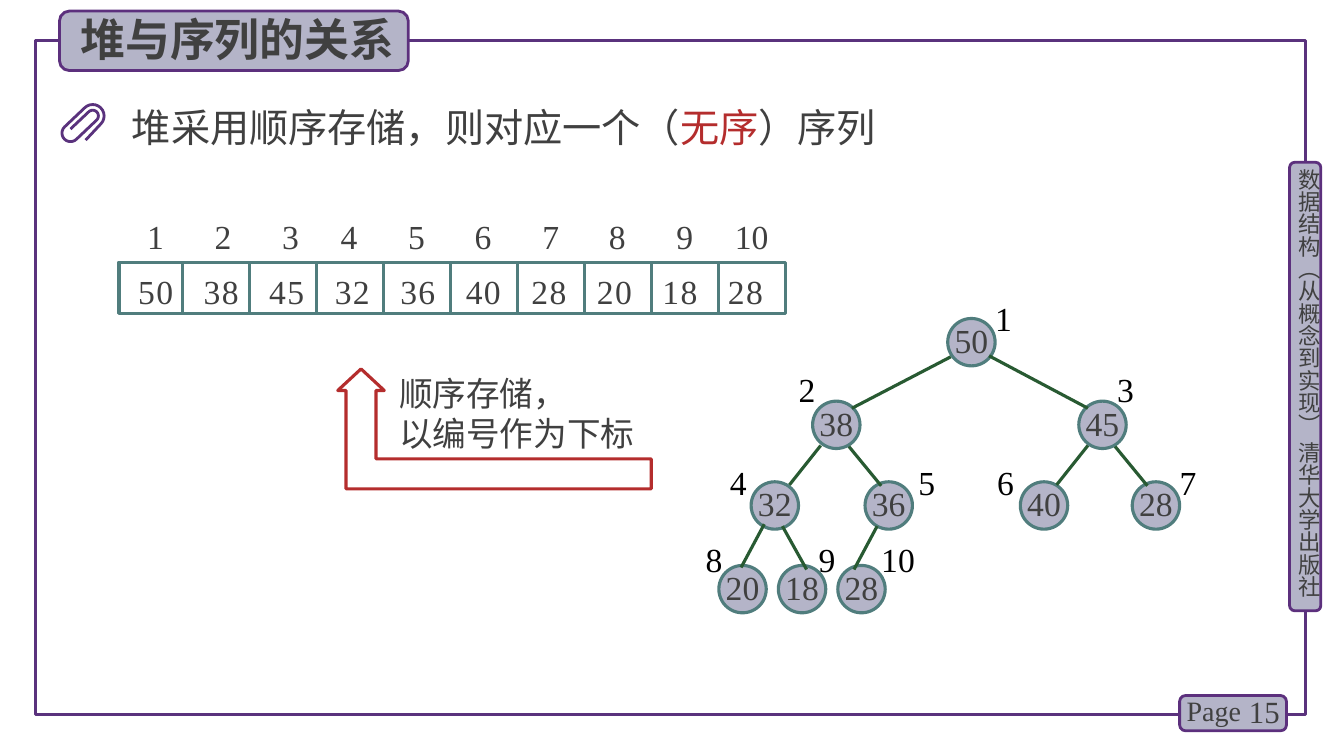
"""Build a slide on how a heap maps to its sequential storage."""
import math
from dataclasses import dataclass

from lxml import etree
from pptx import Presentation
from pptx.dml.color import RGBColor
from pptx.enum.shapes import MSO_CONNECTOR, MSO_SHAPE
from pptx.enum.text import MSO_ANCHOR, PP_ALIGN
from pptx.oxml.ns import qn
from pptx.util import Inches, Pt

RECT, ROUNDED = MSO_SHAPE.RECTANGLE, MSO_SHAPE.ROUNDED_RECTANGLE
OVAL, BENT_ARROW = MSO_SHAPE.OVAL, MSO_SHAPE.BENT_UP_ARROW
STRAIGHT = MSO_CONNECTOR.STRAIGHT
TOP, MIDDLE = MSO_ANCHOR.TOP, MSO_ANCHOR.MIDDLE
LEFT, CENTER, RIGHT = PP_ALIGN.LEFT, PP_ALIGN.CENTER, PP_ALIGN.RIGHT


@dataclass(frozen=True)
class Theme:
    latin: str = "Times New Roman"
    chinese: str = "Noto Sans CJK SC"
    ink: str = "404040"
    black: str = "000000"
    red: str = "B42D2D"
    purple: str = "5A327D"
    badge_line: str = "5C307D"
    lilac: str = "B4B4C8"
    teal: str = "507D7D"
    green: str = "285A32"
    title: int = 32
    lead: int = 28
    body: int = 24
    number: int = 22
    page: int = 20
    side: int = 16
    stroke: float = 2.25
    badge_stroke: float = 2


THEME = Theme()
TITLE = "堆与序列的关系"
SIDE = "数据结构（从概念到实现） 清华大学出版社"
LEAD = [("堆采用顺序存储，则对应一个（", THEME.ink), ("无序", THEME.red), ("）序列", THEME.ink)]
NOTE = ["顺序存储，", "以编号作为下标"]
HEAP = [50, 38, 45, 32, 36, 40, 28, 20, 18, 28]
BADGES = [(12.79, 1.61, 0.31, 4.45), (11.7, 6.9, 1.06, 0.35), (0.59, 0.11, 3.46, 0.59)]

NODE_SIZE = 0.47
LEVEL_TOPS = [3.16, 3.98, 4.78, 5.61]
LABEL_TOPS = [2.96, 3.66, 4.58, 5.35]
NODE_LEFTS = [9.4, 8.06, 10.7, 7.45, 8.58, 10.12, 11.23, 7.13, 7.72, 8.31]
LABEL_LEFTS = [9.87, 7.92, 11.08, 7.24, 9.11, 9.89, 11.7, 7, 8.12, 8.74]
EDGES = [
    (9.43, 3.54, 8.45, 4.05), (9.81, 3.53, 10.79, 4.05),
    (8.14, 4.42, 7.83, 4.81), (8.42, 4.43, 8.74, 4.82),
    (10.79, 4.42, 10.48, 4.81), (11.06, 4.43, 11.38, 4.82),
    (7.58, 5.2, 7.35, 5.63), (7.76, 5.22, 8, 5.65), (8.7, 5.22, 8.47, 5.65),
]
ARRAY = (1.18, 2.6, 6.61, 0.51)
FIRST_DIVIDER, CELL_PITCH = 1.81, 0.665
VALUE_STOPS = [0.65 * i for i in range(1, len(HEAP))]
INDEX_STOPS = [0.67, 1.34, 1.92, 2.59, 3.25, 3.92, 4.58, 5.25, 5.83]

CLIP_START, CLIP_END = (0.85, 1.39), (0.7, 1.28)
CLIP_TURNS = [((1, 1.23), (0.84, 1.07)), ((0.64, 1.26), (0.76, 1.38)), ((0.96, 1.19), (0.88, 1.11))]
TURN_STEPS = 12


def paint(shape, line, width=THEME.stroke, fill=None):
    shape.shadow.inherit = False
    shape.line.color.rgb = RGBColor.from_string(line)
    shape.line.width = Pt(width)
    if fill:
        shape.fill.solid()
        shape.fill.fore_color.rgb = RGBColor.from_string(fill)
    else:
        shape.fill.background()


def add_block(page, kind, at, line, width=THEME.stroke, fill=None):
    shape = page.shapes.add_shape(kind, *map(Inches, at))
    paint(shape, line, width, fill)
    return shape


def add_line(page, ends, color):
    line = page.shapes.add_connector(STRAIGHT, *map(Inches, ends))
    line.line.color.rgb = RGBColor.from_string(color)
    line.line.width = Pt(THEME.stroke)
    etree.SubElement(line._element.spPr, qn("a:effectLst"))


def write(shape, paras, size, align=LEFT, anchor=TOP, inset=(0, 0, 0, 0), wrap=True,
          spacing=None, bold=False, latin=THEME.latin, tabs=(), tracking=0):
    frame = shape.text_frame
    frame.word_wrap, frame.vertical_anchor = wrap, anchor
    frame.margin_left, frame.margin_top, frame.margin_right, frame.margin_bottom = map(Inches, inset)
    for index, spans in enumerate(paras):
        para = frame.add_paragraph() if index else frame.paragraphs[0]
        if tabs:
            stops = etree.SubElement(para._p.get_or_add_pPr(), qn("a:tabLst"))
            for stop in tabs:
                etree.SubElement(stops, qn("a:tab"), pos=str(Inches(stop)), algn="l")
        para.alignment = align
        if spacing:
            para.line_spacing = Pt(spacing)
        for text, color in spans:
            span = para.add_run()
            span.text = text
            span.font.size, span.font.bold, span.font.name = Pt(size), bold, latin
            span.font.color.rgb = RGBColor.from_string(color)
            properties = span._r.get_or_add_rPr()
            etree.SubElement(properties, qn("a:ea"), typeface=THEME.chinese)
            if tracking:
                properties.set("spc", str(tracking))


def add_text(page, at, paras, size, **options):
    box = page.shapes.add_textbox(*map(Inches, at))
    write(box, paras, size, **options)
    return box


def add_frame(page):
    add_block(page, RECT, (0.35, 0.4, 12.6, 6.69), THEME.purple)
    for at in BADGES:
        add_block(page, ROUNDED, at, THEME.badge_line, THEME.badge_stroke, THEME.lilac)
    side = add_text(page, (12.85, 1.67, 0.27, 4.49), [[(SIDE, THEME.ink)]], THEME.side, latin=THEME.chinese)
    side.text_frame._txBody.bodyPr.set("vert", "eaVert")
    padding = (0.1, 0.05, 0.1, 0.05)
    add_text(page, (12.2, 6.86, 0.59, 0.4), [[("15", THEME.ink)]], THEME.number,
             align=RIGHT, anchor=MIDDLE, inset=padding)
    add_text(page, (11.67, 6.83, 0.78, 0.44), [[("Page", THEME.ink)]], THEME.page, inset=padding)
    add_text(page, (0.7, 0.07, 3.45, 0.64), [[(TITLE, THEME.ink)]], THEME.title,
             inset=padding, bold=True, latin=THEME.chinese)
    add_text(page, (1.21, 0.89, 8.35, 0.66), [LEAD], THEME.lead, inset=padding, spacing=40)


def add_paperclip(page):
    points = [CLIP_START]
    for (x1, y1), (x2, y2) in CLIP_TURNS:
        center_x, center_y = (x1 + x2) / 2, (y1 + y2) / 2
        radius = math.hypot(x1 - x2, y1 - y2) / 2
        start = math.atan2(y1 - center_y, x1 - center_x)
        for step in range(TURN_STEPS + 1):
            angle = start - math.pi * step / TURN_STEPS
            points.append((center_x + radius * math.cos(angle), center_y + radius * math.sin(angle)))
    points.append(CLIP_END)
    first, *rest = [(Inches(x), Inches(y)) for x, y in points]
    builder = page.shapes.build_freeform(*first)
    builder.add_line_segments(rest, close=False)
    paint(builder.convert_to_shape(), THEME.purple, THEME.badge_stroke)


def add_tree(page):
    for index, value in enumerate(HEAP):
        level = int(math.log2(index + 1))
        node = add_block(page, OVAL, (NODE_LEFTS[index], LEVEL_TOPS[level], NODE_SIZE, NODE_SIZE),
                         THEME.teal, fill=THEME.lilac)
        write(node, [[(str(value), THEME.ink)]], THEME.body, align=CENTER, wrap=False, spacing=25)
        label = str(index + 1)
        add_text(page, (LABEL_LEFTS[index], LABEL_TOPS[level], 0.07 + 0.17 * len(label), 0.4),
                 [[(label, THEME.black)]], THEME.body)
    for ends in EDGES:
        add_line(page, ends, THEME.green)


def add_array(page):
    left, top, width, height = ARRAY
    values = add_block(page, RECT, ARRAY, THEME.teal)
    write(values, [[("\t".join(map(str, HEAP)), THEME.ink)]], THEME.body,
          inset=(0.19, 0, 0, 0), spacing=35, tabs=VALUE_STOPS, tracking=100)
    for index in range(len(HEAP) - 1):
        x = FIRST_DIVIDER + CELL_PITCH * index
        add_line(page, (x, top, x, top + height), THEME.teal)
    indexes = "\t".join(str(index + 1) for index in range(len(HEAP)))
    add_text(page, (1.36, 2.14, 6.51, 0.4), [[(indexes, THEME.ink)]], THEME.body,
             inset=(0.1, 0, 0.1, 0), tabs=INDEX_STOPS)


def add_storage_note(page):
    arrow = add_block(page, BENT_ARROW, (3.35, 3.66, 3.11, 1.19), THEME.red)
    for index, value in enumerate((0.25, 0.194, 0.18)):
        arrow.adjustments[index] = value
    arrow._element.spPr.xfrm.set("flipH", "1")
    add_text(page, (3.86, 3.7, 2.87, 0.81), [[(line, THEME.ink)] for line in NOTE],
             THEME.body, inset=(0.1, 0, 0.1, 0))


def main():
    deck = Presentation()
    deck.slide_width, deck.slide_height = Inches(13.33), Inches(7.5)
    page = deck.slides.add_slide(deck.slide_layouts[6])
    for add_part in (add_frame, add_paperclip, add_tree, add_array, add_storage_note):
        add_part(page)
    deck.save("out.pptx")


if __name__ == "__main__":
    main()
